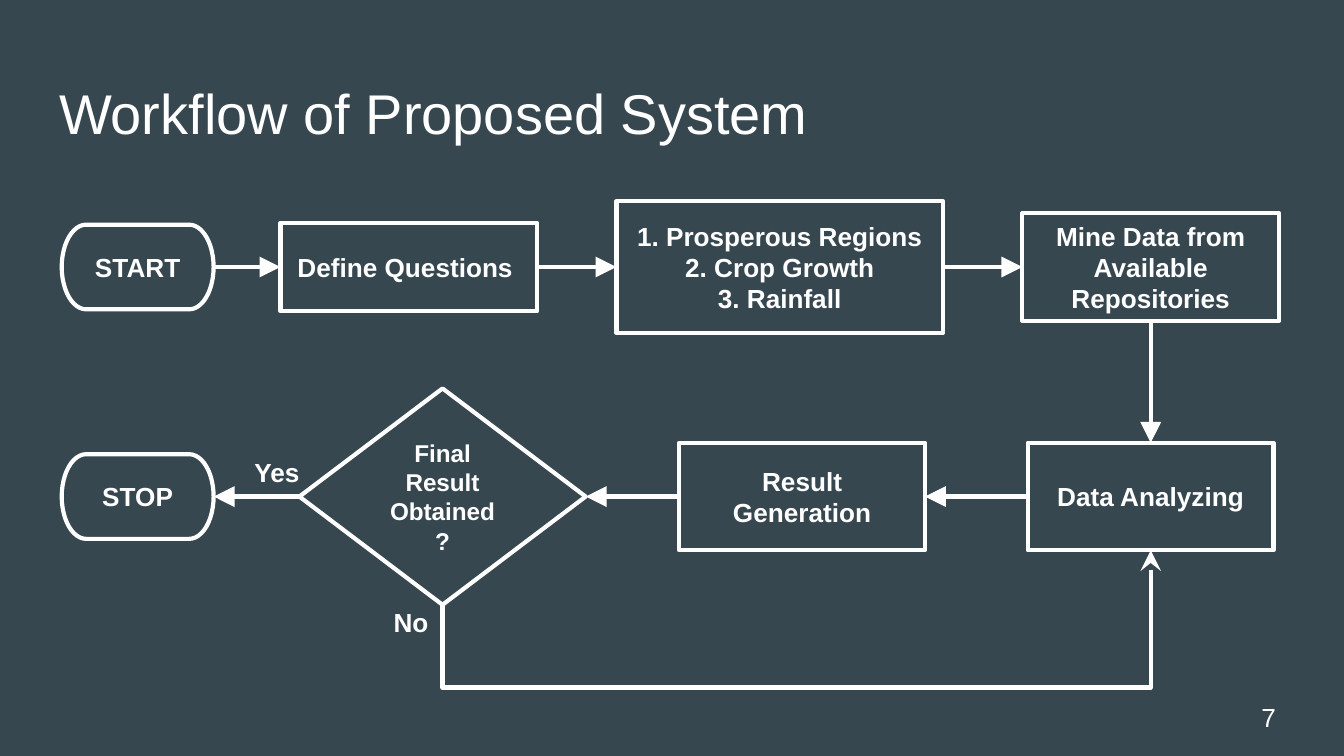
from dataclasses import dataclass
from lxml.etree import SubElement
from pptx import Presentation
from pptx.dml.color import RGBColor
from pptx.enum.shapes import MSO_CONNECTOR, MSO_SHAPE
from pptx.enum.text import MSO_ANCHOR, PP_ALIGN
from pptx.oxml.ns import qn
from pptx.util import Inches, Pt


@dataclass
class Theme:
    back: RGBColor = RGBColor.from_string("37474F")
    ink: RGBColor = RGBColor.from_string("FFFFFF")
    font: str = "Arial"
    title: int = 30
    body: int = 14
    small: int = 13
    line: float = 2.25


theme = Theme()
deck = Presentation()
deck.slide_width = Inches(10)
deck.slide_height = deck.slide_width * 9 // 16
unit = deck.slide_width / 100
slide = deck.slides.add_slide(deck.slide_layouts[6])
slide.background.fill.solid()
slide.background.fill.fore_color.rgb = theme.back


def write(shape, text, size, bold=True, align=PP_ALIGN.LEFT, anchor=MSO_ANCHOR.TOP):
    frame = shape.text_frame
    frame.word_wrap = True
    frame.vertical_anchor = anchor
    frame.margin_left = frame.margin_right = Inches(0.1)
    frame.margin_top = frame.margin_bottom = Inches(0.1)
    frame.text = text
    for para in frame.paragraphs:
        para.alignment = align
        para.font.name = theme.font
        para.font.size = Pt(size)
        para.font.bold = bold
        para.font.color.rgb = theme.ink


def arrow(link, head):
    link.line.color.rgb = theme.ink
    link.line.width = Pt(theme.line)
    SubElement(link.line._get_or_add_ln(), qn("a:tailEnd"), type=head, w="lg", len="lg")
    SubElement(link._element.spPr, qn("a:effectLst"))


labels = [
    ("Workflow of Proposed System", 3.41, 4.87, 93.2, 6.3, theme.title, False, MSO_ANCHOR.TOP),
    ("Yes", 17.95, 32.95, 6.4, 3.5, theme.body, True, MSO_ANCHOR.TOP),
    ("No", 28.3, 44.15, 5, 3.5, theme.body, True, MSO_ANCHOR.TOP),
    ("7", 92.87, 51.2, 6, 4.3, theme.body, False, MSO_ANCHOR.MIDDLE),
]
for text, left, top, wide, high, size, bold, anchor in labels:
    box = slide.shapes.add_textbox(*[int(n * unit) for n in (left, top, wide, high)])
    write(box, text, size, bold, anchor=anchor)

upper, lower = 19.87, 36.95
rect, pill, gem = MSO_SHAPE.RECTANGLE, MSO_SHAPE.FLOWCHART_TERMINATOR, MSO_SHAPE.FLOWCHART_DECISION
steps = [
    ("START", pill, 10.25, upper, 11.3, 6.3),
    ("Define Questions ", rect, 30.42, upper, 19.1, 6.6),
    ("1. Prosperous Regions\n2. Crop Growth\n3. Rainfall", rect, 58.02, upper, 24.3, 9.8),
    ("Mine Data from Available Repositories", rect, 85.62, upper, 19.1, 8),
    ("Data Analyzing", rect, 85.62, lower, 18.3, 8),
    ("Result Generation", rect, 59.68, lower, 18.3, 8),
    ("Final Result Obtained?", gem, 32.93, lower, 21.3, 16.1),
    ("STOP", pill, 10.25, lower, 11.3, 6.3),
]
nodes = []
for text, kind, mid, row, wide, high in steps:
    place = (mid - wide / 2, row - high / 2, wide, high)
    node = slide.shapes.add_shape(kind, *[int(n * unit) for n in place])
    node.shadow.inherit = False
    node.fill.background()
    node.line.color.rgb = theme.ink
    node.line.width = Pt(theme.line)
    size = theme.small if kind == gem else theme.body
    write(node, text, size, align=PP_ALIGN.CENTER, anchor=MSO_ANCHOR.MIDDLE)
    nodes.append(node)

left, base, right = 1, 2, 3
sides = [(right, left)] * 3 + [(base, 0)] + [(left, right)] * 3
for start, end, (out, into) in zip(nodes, nodes[1:], sides):
    link = slide.shapes.add_connector(MSO_CONNECTOR.STRAIGHT, 0, 0, 0, 0)
    link.begin_connect(start, out)
    link.end_connect(end, into)
    arrow(link, "triangle")

from_x, from_y, to_x, to_y = 32.93, 45, 85.62, 40.95
rise, span = from_y - to_y, to_x - from_x
mid_x, mid_y = (from_x + to_x) / 2, (from_y + to_y) / 2
ends = (mid_x - rise / 2, mid_y - span / 2, mid_x + rise / 2, mid_y + span / 2)
loop = slide.shapes.add_connector(MSO_CONNECTOR.ELBOW, *[int(n * unit) for n in ends])
form = loop._element.spPr
form.find(qn("a:xfrm")).set("rot", "16200000")
bend = form.find(qn("a:prstGeom")).find(qn("a:avLst"))
SubElement(bend, qn("a:gd"), name="adj1", fmla="val -152000")
arrow(loop, "stealth")

deck.save("out.pptx")
